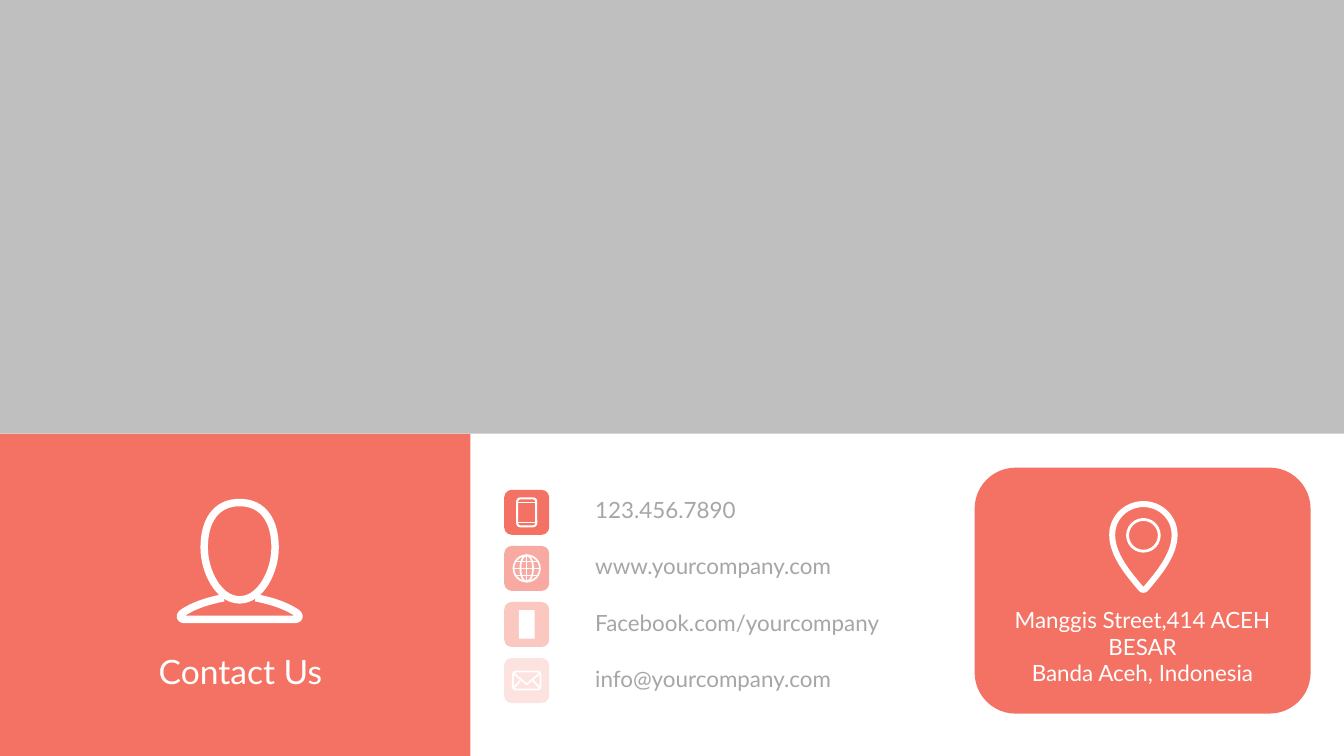
from lxml import etree
from pptx import Presentation
from pptx.dml.color import RGBColor
from pptx.enum import shapes, text
from pptx.oxml import ns
from pptx.util import Cm, Pt

COLORS = {
    "photo": "BFBFBF",
    "coral": "F47264",
    "coral_light": "F8AAA2",
    "coral_pale": "FBC7C1",
    "coral_faint": "FDE3E0",
    "white": "FFFFFF",
    "gray": "A6A6A6",
}
FONT = "Lato"
SHAPE = shapes.MSO_SHAPE
TILE = 0.85
TILE_LEFT, TILE_TOP, TILE_STEP = 9.53, 9.26, 1.06


def color(name):
    return RGBColor.from_string(COLORS[name])


def style(shape, fill=None, line=None, width=1):
    shape.shadow.inherit = False
    if fill:
        shape.fill.solid()
        shape.fill.fore_color.rgb = color(fill)
    else:
        shape.fill.background()
    if line:
        shape.line.color.rgb = color(line)
        shape.line.width = Pt(width)
    else:
        shape.line.fill.background()


def add_block(slide, kind, left, top, width, height, fill):
    shape = slide.shapes.add_shape(kind, Cm(left), Cm(top), Cm(width), Cm(height))
    style(shape, fill)


def add_outline(slide, kind, x, y, width, height, weight):
    """White outlined preset shape centred on x, y."""
    shape = slide.shapes.add_shape(
        kind, Cm(x - width / 2), Cm(y - height / 2), Cm(width), Cm(height))
    style(shape, line="white", width=weight)


def add_line(slide, x1, y1, x2, y2, weight):
    line = slide.shapes.add_connector(
        shapes.MSO_CONNECTOR.STRAIGHT, Cm(x1), Cm(y1), Cm(x2), Cm(y2))
    line.line.color.rgb = color("white")
    line.line.width = Pt(weight)
    etree.SubElement(line._element.spPr, ns.qn("a:effectLst"))


def add_path(slide, points, weight, close=False):
    points = [(Cm(x), Cm(y)) for x, y in points]
    builder = slide.shapes.build_freeform(*points[0])
    builder.add_line_segments(points[1:], close=close)
    style(builder.convert_to_shape(), line="white", width=weight)


def curve(start, *segments, steps=16):
    """Points along joined cubic curves, each given as two controls and an end."""
    points = [start]
    for control1, control2, end in segments:
        corners = (points[-1], control1, control2, end)
        for step in range(1, steps + 1):
            t = step / steps
            weights = ((1 - t) ** 3, 3 * t * (1 - t) ** 2, 3 * t * t * (1 - t), t ** 3)
            points.append(tuple(
                sum(w * corner[axis] for w, corner in zip(weights, corners))
                for axis in (0, 1)))
    return points


def mirror(half, axis):
    """Add the reflection of the right half across a vertical axis."""
    return half + [(2 * axis - x, y) for x, y in reversed(half)]


def add_text(slide, left, top, width, height, content, size, fill, align):
    box = slide.shapes.add_textbox(Cm(left), Cm(top), Cm(width), Cm(height))
    frame = box.text_frame
    frame.word_wrap = True
    frame.vertical_anchor = text.MSO_ANCHOR.MIDDLE
    frame.text = content
    for paragraph in frame.paragraphs:
        paragraph.alignment = align
        for run in paragraph.runs:
            run.font.name = FONT
            run.font.size = Pt(size)
            run.font.color.rgb = color(fill)


def draw_phone(slide, x, y):
    add_outline(slide, SHAPE.ROUNDED_RECTANGLE, x, y, 0.36, 0.53, 1.1)
    for offset in (-0.19, 0.19):
        add_line(slide, x - 0.18, y + offset, x + 0.18, y + offset, 0.75)


def draw_globe(slide, x, y):
    for width in (0.5, 0.24):
        add_outline(slide, SHAPE.OVAL, x, y, width, 0.5, 0.9)
    add_line(slide, x, y - 0.25, x, y + 0.25, 0.75)
    for offset, reach in ((-0.13, 0.2), (0, 0.25), (0.13, 0.2)):
        add_line(slide, x - reach, y + offset, x + reach, y + offset, 0.75)


def draw_social(slide, x, y):
    add_block(slide, SHAPE.RECTANGLE, x - 0.15, y - 0.27, 0.3, 0.54, "white")


def draw_envelope(slide, x, y):
    add_outline(slide, SHAPE.ROUNDED_RECTANGLE, x, y, 0.52, 0.34, 1)
    add_path(slide, [(x - 0.24, y - 0.13), (x, y + 0.07), (x + 0.24, y - 0.13)], 0.9)
    for side in (-1, 1):
        add_line(slide, x + side * 0.12, y, x + side * 0.24, y + 0.13, 0.9)


def draw_pin(slide, x):
    half = curve(
        (x, 9.53),
        ((x + 0.33, 9.53), (x + 0.59, 9.79), (x + 0.59, 10.11)),
        ((x + 0.59, 10.5), (x + 0.26, 10.87), (x + 0.07, 11.1)),
        ((x + 0.04, 11.14), (x + 0.02, 11.15), (x, 11.15)))
    add_outline(slide, SHAPE.OVAL, x, 10.12, 0.6, 0.6, 1.5)
    add_path(slide, mirror(half, x), 3.2, close=True)


def draw_person(slide, x):
    head = curve(
        (x, 9.5),
        ((x + 0.45, 9.5), (x + 0.67, 9.85), (x + 0.67, 10.35)),
        ((x + 0.67, 10.8), (x + 0.4, 11.34), (x, 11.34)))
    shoulder = curve(
        (x + 0.3, 11.3),
        ((x + 0.67, 11.37), (x + 0.92, 11.48), (x + 1.07, 11.58)),
        ((x + 1.15, 11.64), (x + 1.13, 11.71), (x + 1.03, 11.71)))
    add_path(slide, mirror(head, x), 4, close=True)
    add_path(slide, mirror(shoulder, x), 4)


def add_contact(slide, index, fill, draw_icon, content):
    top = TILE_TOP + index * TILE_STEP
    add_block(slide, SHAPE.ROUNDED_RECTANGLE, TILE_LEFT, top, TILE, TILE, fill)
    draw_icon(slide, TILE_LEFT + TILE / 2, top + TILE / 2)
    add_text(slide, 11, top, 6.55, 0.76, content, 12, "gray", text.PP_ALIGN.LEFT)


def main():
    presentation = Presentation()
    presentation.slide_width, presentation.slide_height = Cm(25.4), Cm(14.29)
    slide = presentation.slides.add_slide(presentation.slide_layouts[6])
    center = text.PP_ALIGN.CENTER

    # Photo area
    add_block(slide, SHAPE.RECTANGLE, 0, 0, 25.4, 8.2, "photo")

    # Contact list
    contacts = [
        ("coral", draw_phone, "123.456.7890"),
        ("coral_light", draw_globe, "www.yourcompany.com"),
        ("coral_pale", draw_social, "Facebook.com/yourcompany"),
        ("coral_faint", draw_envelope, "info@yourcompany.com"),
    ]
    for index, contact in enumerate(contacts):
        add_contact(slide, index, *contact)

    # Address card
    add_block(slide, SHAPE.ROUNDED_RECTANGLE, 18.42, 8.84, 6.35, 4.65, "coral")
    draw_pin(slide, 21.61)
    add_text(slide, 18.42, 11.58, 6.35, 1.27,
             "Manggis Street,414 ACEH BESAR\nBanda Aceh, Indonesia", 12, "white", center)

    # Title panel
    add_block(slide, SHAPE.RECTANGLE, 0, 8.2, 8.89, 6.09, "coral")
    draw_person(slide, 4.53)
    add_text(slide, 1.27, 12.17, 6.55, 1.02, "Contact Us", 18, "white", center)

    presentation.save("out.pptx")


if __name__ == "__main__":
    main()
